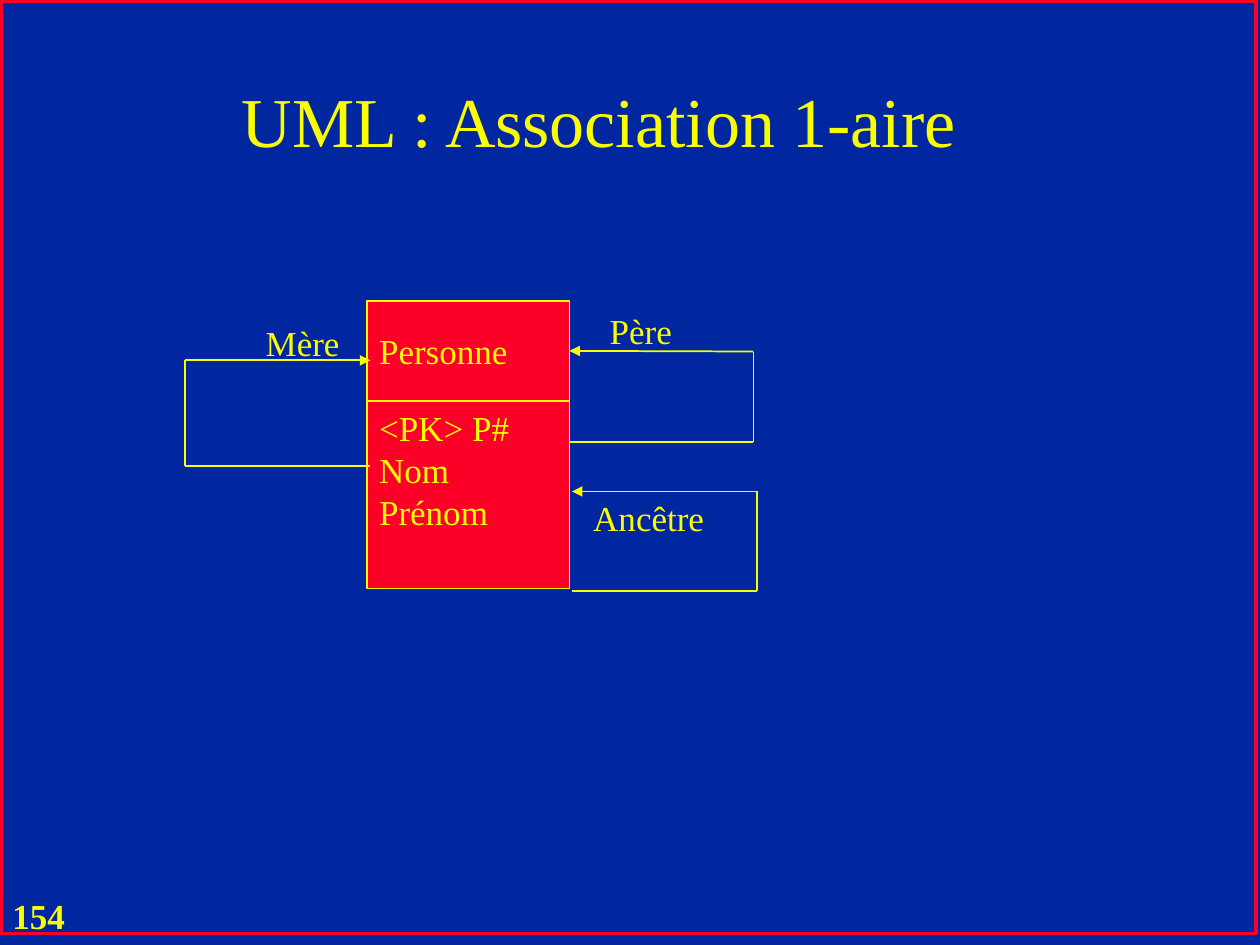
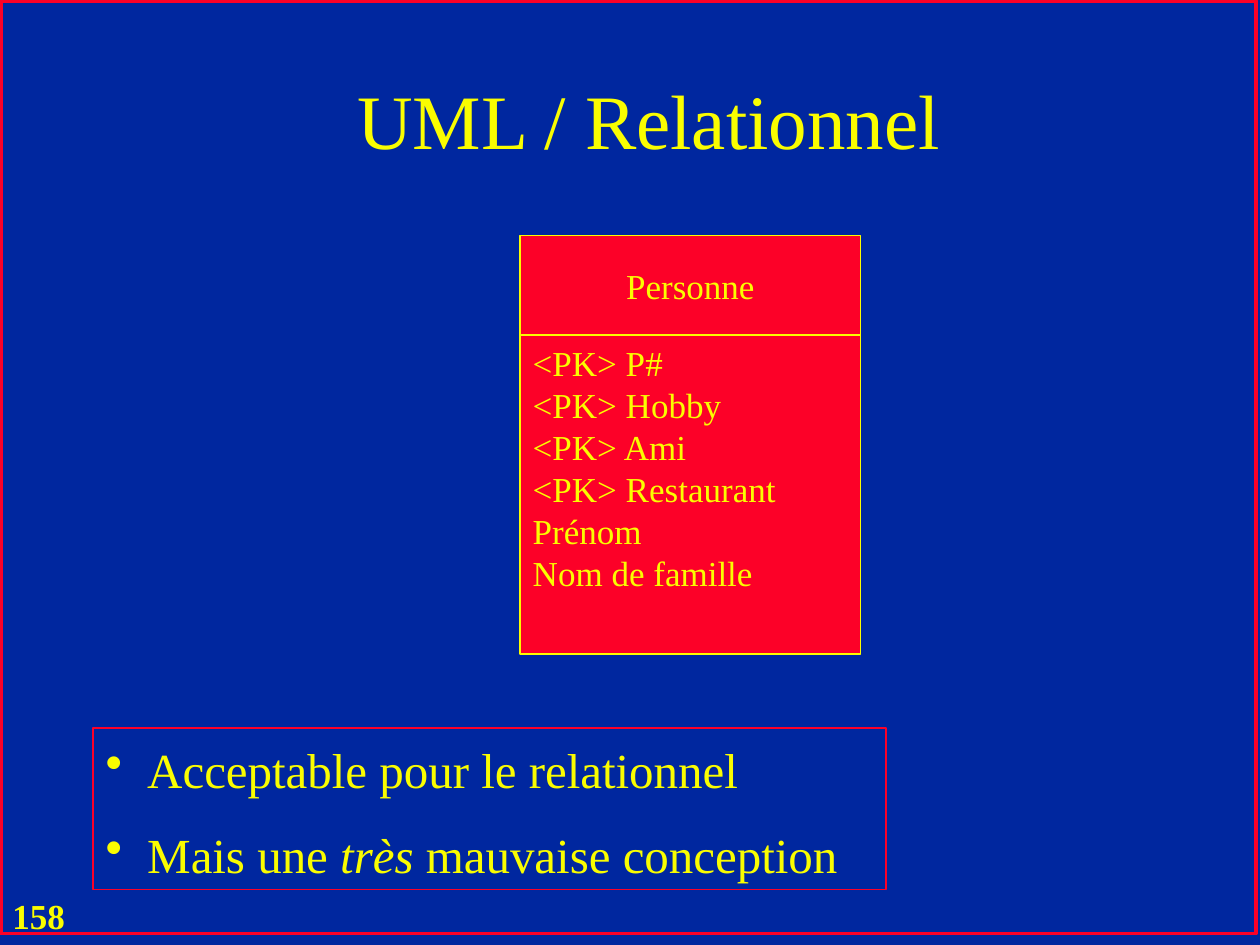
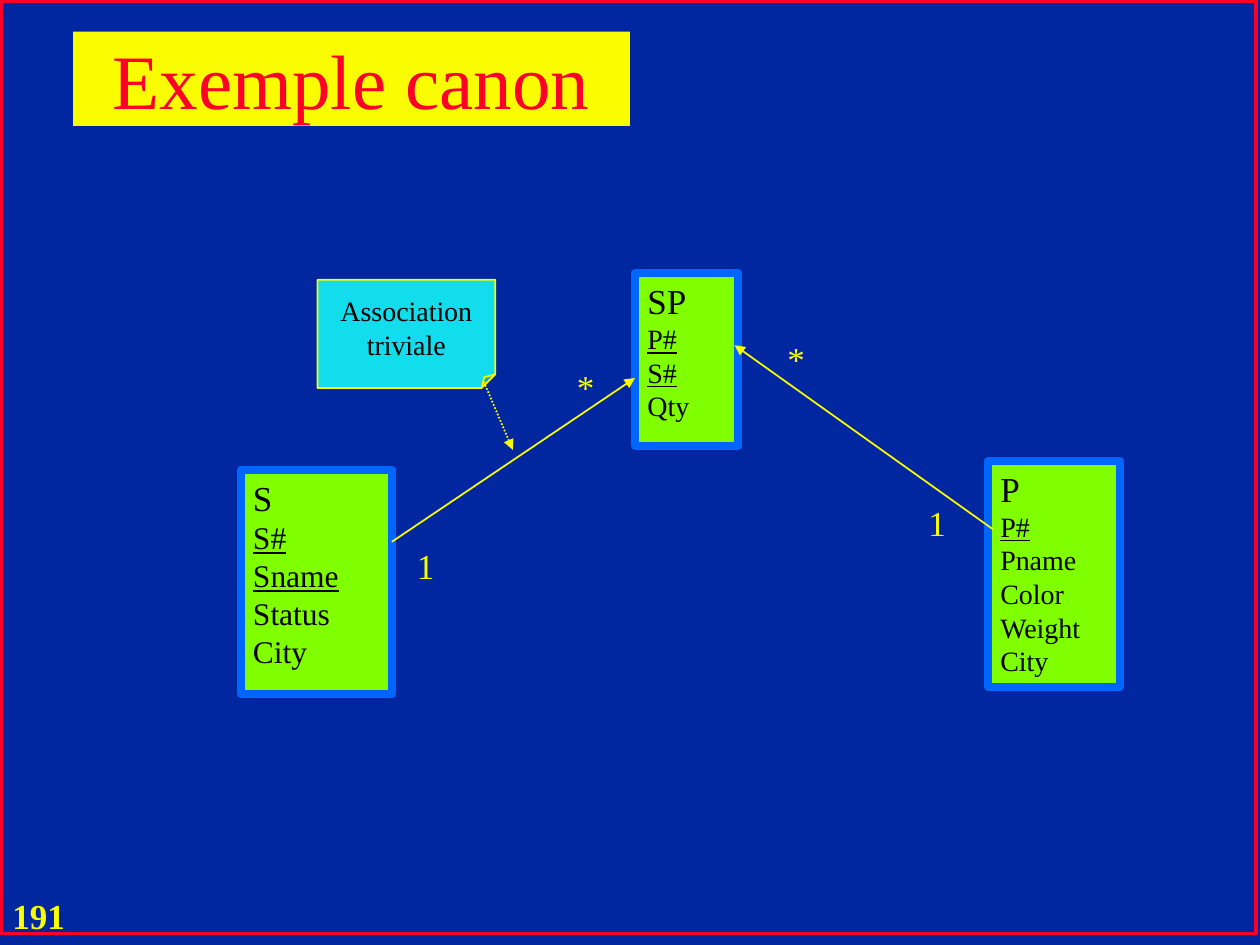
from lxml import etree
from pptx import Presentation, util as u
from pptx.dml.color import RGBColor
from pptx.enum import dml, shapes, text
from pptx.oxml.ns import qn

FONT = "Times New Roman"
COLOURS = {"blue": "00279F", "yellow": "FAFD00", "red": "FC0128", "green": "7FFF00",
           "border": "0066FF", "cyan": "11DDED", "black": "000000"}
LEFT, CENTRE = text.PP_ALIGN.LEFT, text.PP_ALIGN.CENTER
TOP, MIDDLE = text.MSO_ANCHOR.TOP, text.MSO_ANCHOR.MIDDLE
RECTANGLE = shapes.MSO_SHAPE.RECTANGLE

# Content: places are left, top, width, height in inches
UNARY = {
    "number": "154",
    "title": ("UML : Association 1-aire", (1.82, 0.32, 6.49, 1.25), 40, LEFT),
    "class": ("Personne", ["<PK> P#", "Nom", "Prénom"], (2.91, 2.39, 1.61), 1.49, LEFT),
    "labels": [("Père", 4.74, 2.39, 0.82), ("Mère", 2.01, 2.48, 0.82),
               ("Ancêtre", 4.61, 3.87, 1.6)],
    # inner x, outer x, top, bottom
    "father loop": (4.52, 5.98, 2.79, 3.51),
    "other loops": [(2.94, 1.47, 2.86, 3.7), (4.54, 6.01, 3.9, 4.69)],
}
RELATIONAL = {
    "number": "158",
    "title": ("UML / Relationnel", (0.9, 0.32, 8.5, 1.25), 44, CENTRE),
    "class": ("Personne", ["<PK> P#", "<PK> Hobby", "<PK> Ami", "<PK> Restaurant",
                           "Prénom", "Nom de famille"], (4.13, 1.87, 2.7), 2.53, CENTRE),
    "remarks": [[("Acceptable pour le relationnel", {})],
                [("Mais une ", {}), ("très", {"italic": True}), (" mauvaise conception", {})]],
    "remarks place": (0.74, 5.78, 6.29, 1.28),
}
EXAMPLE = {
    "number": "191",
    "title": ("Exemple canon", (0.58, 0.25, 4.42, 0.75), 44, CENTRE),
    # name, underlined keys, other columns, size of columns, place
    "relations": [
        ("S", ["S#", "Sname"], ["Status", "City"], 18, (1.91, 3.73, 1.2, 1.78)),
        ("P", ["P#"], ["Pname", "Color", "Weight", "City"], 16, (7.84, 3.66, 1.05, 1.79)),
        ("SP", ["P#", "S#"], ["Qty"], 16, (5.04, 2.17, 0.82, 1.37)),
    ],
    "links": [((7.88, 4.2), (5.83, 2.74)), ((3.11, 4.3), (5.04, 3))],
    "labels": [("1", 7.27, 3.91, 0.44), ("*", 6.15, 2.61, 0.44),
               ("*", 4.48, 2.83, 0.44), ("1", 3.21, 4.25, 0.44)],
    "note": (["Association", "triviale"], (2.52, 2.22, 1.41, 0.86)),
    "note link": ((3.84, 3.03), (4.07, 3.57)),
}


def colour(name):
    return RGBColor.from_string(COLOURS[name])


def inches(values):
    return [u.Inches(value) for value in values]


def write(shape, lines, size=20, ink="yellow", align=LEFT, anchor=TOP):
    """Each line is a string or a list of (wording, font settings) pairs."""
    frame = shape.text_frame
    frame.word_wrap = True
    frame.auto_size = text.MSO_AUTO_SIZE.NONE
    frame.vertical_anchor = anchor
    for index, line in enumerate(lines):
        para = frame.paragraphs[0] if index == 0 else frame.add_paragraph()
        para.alignment = align
        for wording, settings in [(line, {})] if isinstance(line, str) else line:
            span = para.add_run()
            span.text = wording
            span.font.name, span.font.size = FONT, u.Pt(size)
            span.font.color.rgb = colour(ink)
            for name, value in settings.items():
                setattr(span.font, name, value)
    return frame


def add_box(page, place, fill=None, line="yellow", width=1, kind=RECTANGLE):
    box = page.shapes.add_shape(kind, *inches(place))
    box.shadow.inherit = False
    if fill:
        box.fill.solid()
        box.fill.fore_color.rgb = colour(fill)
    else:
        box.fill.background()
    box.line.color.rgb = colour(line)
    box.line.width = u.Pt(width)
    return box


def add_line(page, start, end, arrow=False, dotted=False):
    line = page.shapes.add_connector(shapes.MSO_CONNECTOR.STRAIGHT, *inches(start + end))
    line.line.color.rgb = colour("yellow")
    line.line.width = u.Pt(1)
    if dotted:
        line.line.dash_style = dml.MSO_LINE.ROUND_DOT
    if arrow:
        outline = line.line._get_or_add_ln()
        etree.SubElement(outline, qn("a:tailEnd"), type="triangle")
    etree.SubElement(line._element.spPr, qn("a:effectLst"))
    return line


def add_label(page, wording, left, top, width):
    box = page.shapes.add_textbox(*inches((left, top, width, 0.43)))
    write(box, [wording]).margin_top = u.Inches(0.07)


def add_page(deck, content):
    page = deck.slides.add_slide(deck.slide_layouts[5])
    # Red frame and page number
    add_box(page, (0.01, 0.01, 9.96, 7.4), line="red", width=2)
    number = page.shapes.add_textbox(*inches((0, 7.05, 0.69, 0.43)))
    write(number, [[(content["number"], {"bold": True})]])
    # Title
    wording, place, size, align = content["title"]
    title = page.shapes.title
    title.left, title.top, title.width, title.height = inches(place)
    write(title, [wording], size, align=align, anchor=MIDDLE)
    return page


def add_class(page, name, attributes, corner, height, align):
    left, top, width = corner
    name_height = 0.79
    header = add_box(page, (left, top, width, name_height), "red")
    write(header, [name], align=align, anchor=MIDDLE)
    body = add_box(page, (left, top + name_height, width, height), "red")
    write(body, attributes)
    return header


def add_loop(page, inner, outer, top, bottom):
    add_line(page, (inner, bottom), (outer, bottom))
    add_line(page, (outer, bottom), (outer, top))
    return add_line(page, (outer, top), (inner, top), arrow=True)


def build_unary(deck):
    page = add_page(deck, UNARY)
    person = add_class(page, *UNARY["class"])
    add_loop(page, *UNARY["father loop"]).end_connect(person, 3)
    for loop in UNARY["other loops"]:
        add_loop(page, *loop)
    for label in UNARY["labels"]:
        add_label(page, *label)


def build_relational(deck):
    page = add_page(deck, RELATIONAL)
    add_class(page, *RELATIONAL["class"])
    # Bulleted remarks
    box = add_box(page, RELATIONAL["remarks place"], line="red")
    frame = write(box, RELATIONAL["remarks"], 28)
    frame.margin_top = u.Inches(0.09)
    for index, para in enumerate(frame.paragraphs):
        props = para._p.get_or_add_pPr()
        props.set("marL", str(u.Inches(0.33)))
        props.set("indent", str(-u.Inches(0.33)))
        etree.SubElement(props, qn("a:buChar"), char="•")
        if index:
            para.space_before = u.Pt(15)


def build_example(deck):
    page = add_page(deck, EXAMPLE)
    title = page.shapes.title
    title.fill.solid()
    title.fill.fore_color.rgb = colour("yellow")
    for span in title.text_frame.paragraphs[0].runs:
        span.font.color.rgb = colour("red")
    # Relations and the links between them
    for name, keys, columns, size, place in EXAMPLE["relations"]:
        small = {"size": u.Pt(size)}
        lines = [name]
        lines += [[(key, {**small, "underline": True})] for key in keys]
        lines += [[(column, small)] for column in columns]
        write(add_box(page, place, "green", "border", 4.5), lines, ink="black")
    for start, end in EXAMPLE["links"]:
        add_line(page, start, end, arrow=True)
    for label in EXAMPLE["labels"]:
        add_label(page, *label)
    # Note with a small folded corner
    lines, place = EXAMPLE["note"]
    note = add_box(page, place, "cyan", kind=shapes.MSO_SHAPE.FOLDED_CORNER)
    guides = note._element.spPr.find(qn("a:prstGeom")).find(qn("a:avLst"))
    etree.SubElement(guides, qn("a:gd"), name="adj", fmla="val 12500")
    write(note, lines, 16, "black", CENTRE, MIDDLE)
    add_line(page, *EXAMPLE["note link"], arrow=True, dotted=True)


def main():
    deck = Presentation()
    deck.slide_width, deck.slide_height = u.Inches(10), u.Inches(7.5)
    backdrop = deck.slide_master.background.fill
    backdrop.solid()
    backdrop.fore_color.rgb = colour("blue")
    build_unary(deck)
    build_relational(deck)
    build_example(deck)
    deck.save("out.pptx")


if __name__ == "__main__":
    main()
